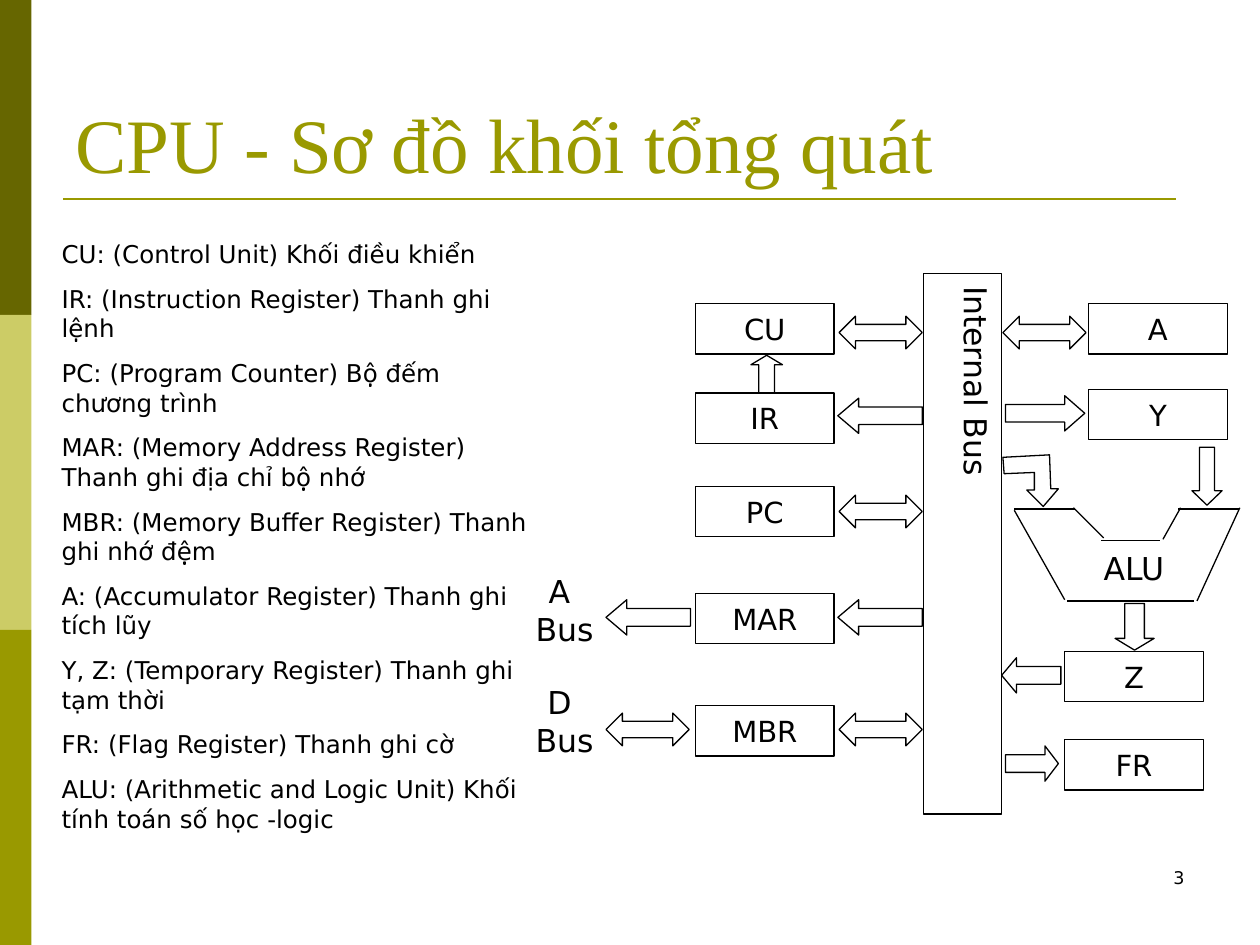
from pptx import Presentation
from pptx.util import Inches, Pt
from pptx.dml.color import RGBColor
from pptx.enum.shapes import MSO_SHAPE, MSO_CONNECTOR
from pptx.enum.text import PP_ALIGN, MSO_ANCHOR
from lxml.etree import SubElement
from pptx.oxml.ns import qn

INK = {"dark": "666600", "pale": "CCCC66", "olive": "999900", "black": "000000"}
SANS, SERIF = "DejaVu Sans", "Times New Roman"

deck = Presentation()
deck.slide_width, deck.slide_height = Inches(10), Inches(7.5)
slide = deck.slides.add_slide(deck.slide_layouts[6])
shapes = slide.shapes

# Grid: 100 columns by 75 rows
COL, ROW = deck.slide_width / 100, deck.slide_height / 75


def style(part, ink="black", width=0.75):
    part.line.color.rgb = RGBColor.from_string(INK[ink])
    part.line.width = Pt(width)
    if hasattr(part, "fill"):
        part.shadow.inherit = False
        part.fill.background()
    else:
        SubElement(part._element.spPr, qn("a:effectLst"))


def write(part, text, size, align=PP_ALIGN.CENTER, anchor=MSO_ANCHOR.TOP,
          font=SANS, ink="black", gap=0):
    frame = part.text_frame
    frame.word_wrap = True
    frame.vertical_anchor = anchor
    frame.text = text
    for spot, para in enumerate(frame.paragraphs):
        para.alignment = align
        para.space_before = Pt(gap if spot else 0)
        for run in para.runs:
            run.font.size = Pt(size)
            run.font.name = font
            run.font.color.rgb = RGBColor.from_string(INK[ink])


# Side bands, a third of the height each
for step, ink in enumerate(["dark", "pale", "olive"]):
    band = shapes.add_shape(MSO_SHAPE.RECTANGLE, 0, int(25 * step * ROW),
                            int(2.5 * COL), int(25 * ROW))
    band.shadow.inherit = False
    band.fill.solid()
    band.fill.fore_color.rgb = RGBColor.from_string(INK[ink])
    band.line.fill.background()

# Plain text: left, top, width, height, words, size, look
notes = "\n".join([
    "CU: (Control Unit) Khối điều khiển",
    "IR: (Instruction Register) Thanh ghi lệnh",
    "PC: (Program Counter) Bộ đếm chương trình",
    "MAR: (Memory Address Register) Thanh ghi địa chỉ bộ nhớ",
    "MBR: (Memory Buffer Register) Thanh ghi nhớ đệm",
    "A: (Accumulator Register) Thanh ghi tích lũy",
    "Y, Z: (Temporary Register) Thanh ghi tạm thời",
    "FR: (Flag Register) Thanh ghi cờ",
    "ALU: (Arithmetic and Logic Unit) Khối tính toán số học -logic",
])
left = {"align": PP_ALIGN.LEFT}
head = {**left, "anchor": MSO_ANCHOR.BOTTOM, "font": SERIF, "ink": "olive"}
for x, y, w, h, words, size, look in [
    (5, 3, 90, 12.5, "CPU - Sơ đồ khối tổng quát", 44, head),
    (3.9, 18.5, 39.8, 50.6, notes, 14, {**left, "gap": 8.8}),
    (86.6, 43.1, 7.9, 4, "ALU", 18, left),
    (41.4, 44.9, 6.8, 7, "A \vBus", 18, {}),
    (41.4, 53.7, 6.8, 7, "D \vBus", 18, {}),
    (71.7, 68.3, 23.3, 5, "3", 10, {"align": PP_ALIGN.RIGHT}),
]:
    box = shapes.add_textbox(int(x * COL), int(y * ROW), int(w * COL), int(h * ROW))
    write(box, words, size, **look)

# Registers, by column
units = {
    55.2: [("CU", 24.1), ("IR", 31.2), ("PC", 38.6), ("MAR", 47.1), ("MBR", 56)],
    86.4: [("A", 24.1), ("Y", 30.9)],
    84.5: [("Z", 51.7), ("FR", 58.7)],
}
for x, cells in units.items():
    for name, y in cells:
        cell = shapes.add_shape(MSO_SHAPE.RECTANGLE, int(x * COL), int(y * ROW),
                                int(11 * COL), int(4 * ROW))
        style(cell)
        write(cell, name, 16.6, anchor=MSO_ANCHOR.MIDDLE)

# Internal bus
bus = shapes.add_shape(MSO_SHAPE.RECTANGLE, int(73.3 * COL), int(21.7 * ROW),
                       int(6.2 * COL), int(42.9 * ROW))
style(bus)
write(bus, "Internal Bus", 18)
frame = bus.text_frame
frame.margin_left = frame.margin_right = Inches(0.05)
frame.margin_top = frame.margin_bottom = Inches(0.1)
frame._txBody.bodyPr.set("vert", "eaVert")

# Block arrows: left, top, width, height, head length
arrows = {
    MSO_SHAPE.LEFT_RIGHT_ARROW: [(x, y, 6.6, 2.6, 0.5) for x, y in [
        (66.6, 25.1), (66.6, 39.3), (66.6, 56.6), (48.1, 56.6), (79.6, 25.1)]],
    MSO_SHAPE.LEFT_ARROW: [(x, y, 6.7, 2.8, 0.59) for x, y in [
        (66.5, 31.6), (66.5, 47.6), (48.1, 47.6)]] + [(79.5, 52.2, 4.7, 2.8, 0.42)],
    MSO_SHAPE.RIGHT_ARROW: [(79.8, 31.4, 6.3, 2.8, 0.57), (79.8, 59.2, 4.2, 2.8, 0.38)],
    MSO_SHAPE.UP_ARROW: [(59.6, 28.2, 2.5, 3, 0.3)],
    MSO_SHAPE.DOWN_ARROW: [(94.6, 35.5, 2.4, 4.6, 0.48), (88.5, 47.9, 3.1, 3.7, 0.3)],
}
for kind, places in arrows.items():
    for x, y, w, h, tip in places:
        arrow = shapes.add_shape(kind, int(x * COL), int(y * ROW),
                                 int(w * COL), int(h * ROW))
        arrow.adjustments[0], arrow.adjustments[1] = 0.5, tip
        style(arrow)

# Bent arrow from the bus into the ALU
bend = [(82.8, 40.2), (81.5, 38.9), (82.1, 38.9), (82.1, 37.5), (79.7, 37.6),
        (79.6, 36.3), (83.3, 36.1), (83.4, 38.8), (84, 38.8)]
bend = [(int(x * COL), int(y * ROW)) for x, y in bend]
pen = shapes.build_freeform(*bend[0])
pen.add_line_segments(bend[1:], close=True)
style(pen.convert_to_shape())

# Title rule and ALU outline
black = ("black", 0.75)
for x, y, right, low, look in [
    (5, 15.8, 93.3, 15.8, ("olive", 1.5)),
    (84.7, 47.7, 94.8, 47.7, black), (95, 47.7, 98.4, 40.3, black),
    (84.5, 47.6, 80.5, 40.5, black), (80.5, 40.4, 85.3, 40.4, black),
    (93.5, 40.4, 98.3, 40.4, black), (87.4, 42.9, 92.1, 42.9, black),
    (92.3, 42.8, 93.7, 40.3, black), (87.6, 42.7, 85.2, 40.3, black),
]:
    edge = shapes.add_connector(MSO_CONNECTOR.STRAIGHT, int(x * COL), int(y * ROW),
                                int(right * COL), int(low * ROW))
    style(edge, *look)

deck.save("out.pptx")
